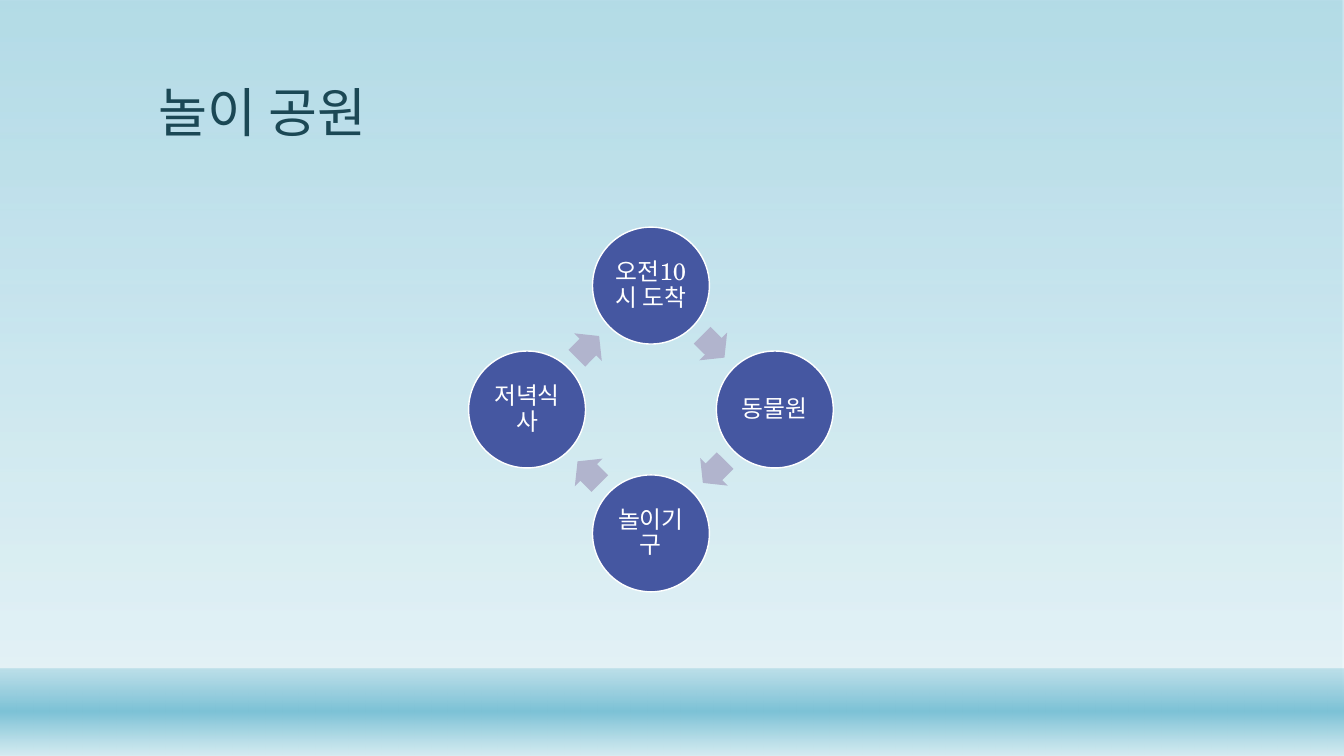
from dataclasses import dataclass

from lxml import etree
from pptx import Presentation
from pptx.dml.color import RGBColor
from pptx.enum.shapes import MSO_SHAPE
from pptx.enum.text import MSO_ANCHOR, PP_ALIGN
from pptx.oxml import parse_xml
from pptx.oxml.ns import qn
from pptx.util import Pt

RECT = MSO_SHAPE.RECTANGLE
OVAL = MSO_SHAPE.OVAL
ARROW = MSO_SHAPE.RIGHT_ARROW
LEFT, CENTER = PP_ALIGN.LEFT, PP_ALIGN.CENTER
MIDDLE, BOTTOM = MSO_ANCHOR.MIDDLE, MSO_ANCHOR.BOTTOM
A_NS = "http://schemas.openxmlformats.org/drawingml/2006/main"
SCALE = 6350
WIDTH, HEIGHT = 1920, 1080


@dataclass(frozen=True)
class Theme:
    ink: str = "1B4855"
    disc: str = "4557A1"
    arrow: str = "B1B4CD"
    white: str = "FFFFFF"
    deep: str = "7DC2D6"
    pale: str = "D4EBF1"
    sans: str = "Noto Sans CJK KR"
    serif: str = "TeX Gyre Schola"
    head: int = 38
    body: int = 17


class Deck:
    def __init__(self, theme):
        self.theme = theme
        self.show = Presentation()
        self.show.slide_width = WIDTH * SCALE
        self.show.slide_height = HEIGHT * SCALE
        self.slide = self.show.slides.add_slide(self.show.slide_layouts[6])

    def shape(self, kind, x, y, w, h):
        item = self.slide.shapes.add_shape(kind, *(round(n * SCALE) for n in (x, y, w, h)))
        item.shadow.inherit = False
        item.line.fill.background()
        return item

    def paint(self, item, color):
        item.fill.solid()
        item.fill.fore_color.rgb = RGBColor.from_string(color)

    def band(self, y, h, stops):
        item = self.shape(RECT, 0, y, WIDTH, h)
        marks = "".join(
            f'<a:gs pos="{pos * 1000}"><a:srgbClr val="{color}">'
            f'<a:alpha val="{alpha * 1000}"/></a:srgbClr></a:gs>'
            for pos, color, alpha in stops
        )
        grad = parse_xml(
            f'<a:gradFill xmlns:a="{A_NS}" rotWithShape="1"><a:gsLst>{marks}</a:gsLst>'
            '<a:lin ang="5400000" scaled="0"/></a:gradFill>'
        )
        item._element.spPr.find(qn("a:prstGeom")).addnext(grad)

    def label(self, frame, text, face, size, color, align, anchor):
        frame.word_wrap = True
        frame.vertical_anchor = anchor
        para = frame.paragraphs[0]
        para.text = text
        para.alignment = align
        para.line_spacing = 0.9
        font = para.font
        font.name = face
        font.size = Pt(size)
        font.color.rgb = RGBColor.from_string(color)
        props = para._p.pPr.find(qn("a:defRPr"))
        etree.SubElement(props, qn("a:ea")).set("typeface", self.theme.sans)

    def title(self, text, x, y, w, h):
        box = self.slide.shapes.add_textbox(*(n * SCALE for n in (x, y, w, h)))
        look = self.theme
        self.label(box.text_frame, text, look.sans, look.head, look.ink, LEFT, BOTTOM)

    def disc(self, text, x, y, size):
        look = self.theme
        item = self.shape(OVAL, x - size / 2, y - size / 2, size, size)
        self.paint(item, look.disc)
        item.line.color.rgb = RGBColor.from_string(look.white)
        item.line.width = Pt(1)
        frame = item.text_frame
        frame.margin_left = frame.margin_right = 3 * SCALE
        frame.margin_top = frame.margin_bottom = 3 * SCALE
        self.label(frame, text, look.serif, look.body, look.white, CENTER, MIDDLE)

    def arrow(self, x, y, w, h, turn):
        item = self.shape(ARROW, x - w / 2, y - h / 2, w, h)
        item.adjustments[0] = 0.6
        item.adjustments[1] = 0.5
        item.rotation = turn
        self.paint(item, self.theme.arrow)

    def cycle(self, steps, x, y, reach, size):
        dx, dy = 0, -reach
        ax, ay = 89, -90
        for num, text in enumerate(steps):
            self.disc(text, x + dx, y + dy, size)
            self.arrow(x + ax, y + ay, 45, 56, 45 + 90 * num)
            dx, dy = -dy, dx
            ax, ay = -ay, ax


def main():
    look = Theme()
    deck = Deck(look)
    deck.band(0, HEIGHT, [(0, look.deep, 58), (88, look.pale, 65)])
    deck.band(955, 125, [(1, look.deep, 38), (49, look.deep, 100), (100, look.pale, 89)])
    deck.title("놀이 공원", 212, 42, 1498, 171)
    deck.cycle(["오전10시 도착", "동물원", "놀이기구", "저녁식사"], 930, 585, 177, 167)
    deck.show.save("out.pptx")


if __name__ == "__main__":
    main()
